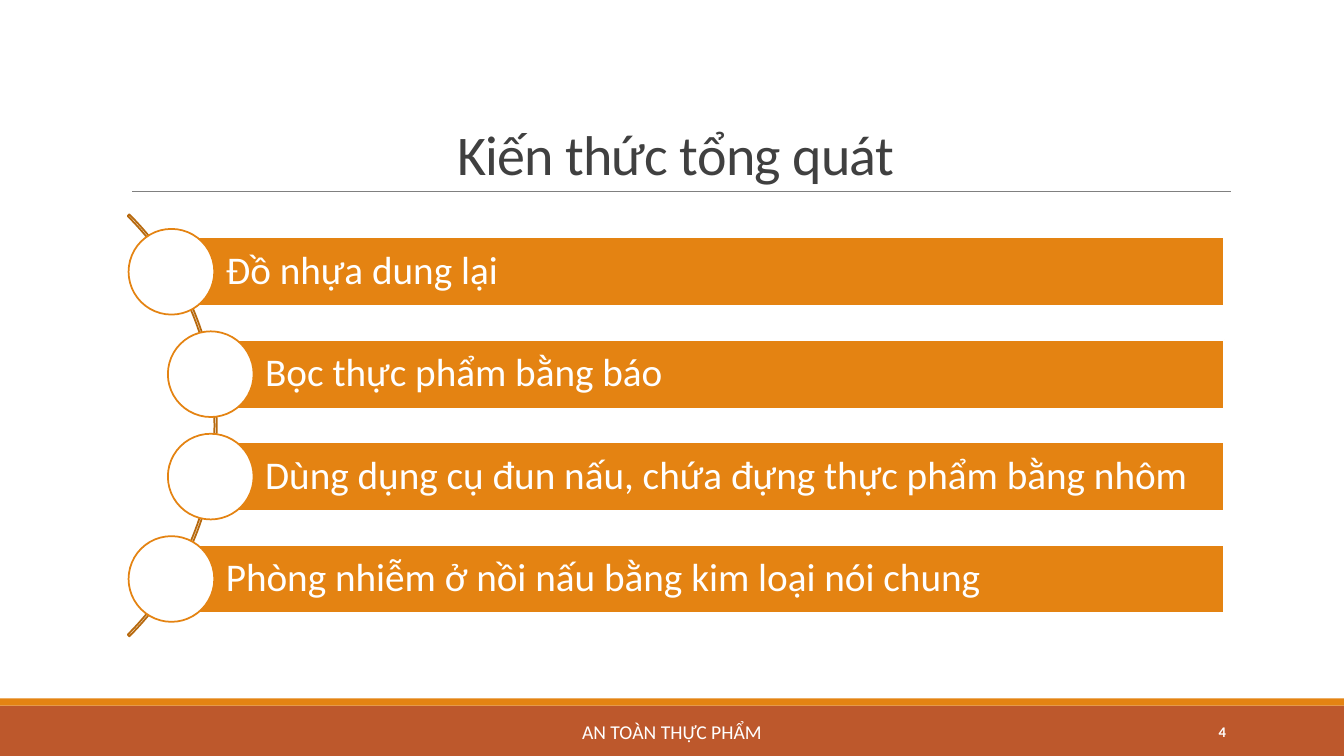
"""Build the food safety slide that lists four general knowledge topics."""
from dataclasses import dataclass

from lxml.etree import SubElement
from pptx import Presentation
from pptx.dml.color import RGBColor
from pptx.enum.shapes import MSO_CONNECTOR, MSO_SHAPE
from pptx.enum.text import MSO_ANCHOR, MSO_AUTO_SIZE, PP_ALIGN
from pptx.oxml.ns import qn
from pptx.util import Inches, Pt

TITLE = "Kiến thức tổng quát"
TOPICS = [
    "Đồ nhựa dung lại",
    "Bọc thực phẩm bằng báo",
    "Dùng dụng cụ đun nấu, chứa đựng thực phẩm bằng nhôm",
    "Phòng nhiễm ở nồi nấu bằng kim loại nói chung",
]
FOOTER = "AN TOÀN THỰC PHẨM"
PAGE_NUMBER = "4"


@dataclass(frozen=True)
class Theme:
    """Colours, font and type sizes of the slide."""
    font: str = "Calibri"
    orange: str = "E48312"
    rust: str = "BD582C"
    arc: str = "B7690E"
    rule: str = "808080"
    ink: str = "404040"
    white: str = "FFFFFF"
    title_size: float = 40
    topic_size: float = 28
    footer_size: float = 14
    number_size: float = 10.5
    outline: float = 1.25


THEME = Theme()
SLIDE_WIDTH, SLIDE_HEIGHT = 13.33, 7.5
FOOTER_TOP, STRIPE_HEIGHT = 7, 0.07
ARC_CENTRE_X, ARC_CENTRE_Y, ARC_DIAMETER = -0.81, 4.22, 5.92
CIRCLE_DIAMETER, BAR_HEIGHT, BAR_RIGHT = 0.85, 0.68, 12.14
TOPIC_PITCH = 1.016
OUTER_X, INNER_X = 1.7, 2.09


def add_box(slide, preset, left, top, width, height, fill=None, line=None):
    """Add a flat preset shape with an optional fill and outline."""
    box = slide.shapes.add_shape(
        preset, Inches(left), Inches(top), Inches(width), Inches(height))
    box.shadow.inherit = False
    if fill:
        box.fill.solid()
        box.fill.fore_color.rgb = RGBColor.from_string(fill)
    else:
        box.fill.background()
    if line:
        box.line.color.rgb = RGBColor.from_string(line)
        box.line.width = Pt(THEME.outline)
    else:
        box.line.fill.background()
    return box


def write(frame, wording, size, color, align, anchor=MSO_ANCHOR.MIDDLE):
    """Write one styled paragraph and return it."""
    frame.word_wrap = True
    frame.auto_size = MSO_AUTO_SIZE.NONE
    frame.vertical_anchor = anchor
    paragraph = frame.paragraphs[0]
    paragraph.text = wording
    paragraph.alignment = align
    paragraph.font.name = THEME.font
    paragraph.font.size = Pt(size)
    paragraph.font.color.rgb = RGBColor.from_string(color)
    return paragraph


def add_title(slide):
    """Place the title above its thin rule."""
    title = slide.shapes.title
    title.left, title.top = Inches(1.2), Inches(0.31)
    title.width, title.height = Inches(11), Inches(1.59)
    heading = write(title.text_frame, TITLE, THEME.title_size, THEME.ink,
                    PP_ALIGN.CENTER, MSO_ANCHOR.BOTTOM)
    heading.line_spacing = 0.85
    heading.runs[0].font._element.set("spc", "-50")
    rule = slide.shapes.add_connector(
        MSO_CONNECTOR.STRAIGHT, Inches(1.31), Inches(1.9), Inches(12.21), Inches(1.9))
    rule.line.color.rgb = RGBColor.from_string(THEME.rule)
    rule.line.width = Pt(0.5)
    SubElement(rule._element.spPr, qn("a:effectLst"))


def add_topics(slide):
    """Set the topic bars and their circles along the arc."""
    radius = ARC_DIAMETER / 2
    arc = add_box(slide, MSO_SHAPE.BLOCK_ARC, ARC_CENTRE_X - radius,
                  ARC_CENTRE_Y - radius, ARC_DIAMETER, ARC_DIAMETER, line=THEME.arc)
    for index, setting in enumerate((189, 27, 0.004)):
        arc.adjustments[index] = setting
    last = len(TOPICS) - 1
    for index, topic in enumerate(TOPICS):
        centre_x = OUTER_X if index in (0, last) else INNER_X
        centre_y = ARC_CENTRE_Y + (index - last / 2) * TOPIC_PITCH
        bar = add_box(slide, MSO_SHAPE.RECTANGLE, centre_x, centre_y - BAR_HEIGHT / 2,
                      BAR_RIGHT - centre_x, BAR_HEIGHT, THEME.orange, THEME.white)
        frame = bar.text_frame
        frame.margin_left = Inches(0.54)
        frame.margin_right = frame.margin_top = frame.margin_bottom = Inches(0.08)
        label = write(frame, topic, THEME.topic_size, THEME.white, PP_ALIGN.LEFT)
        label.line_spacing = 0.9
        add_box(slide, MSO_SHAPE.OVAL, centre_x - CIRCLE_DIAMETER / 2,
                centre_y - CIRCLE_DIAMETER / 2, CIRCLE_DIAMETER, CIRCLE_DIAMETER,
                THEME.white, THEME.orange)


def add_footer(slide):
    """Add the footer bands, the footer wording and the page number."""
    add_box(slide, MSO_SHAPE.RECTANGLE, 0, FOOTER_TOP, SLIDE_WIDTH,
            SLIDE_HEIGHT - FOOTER_TOP, THEME.rust)
    add_box(slide, MSO_SHAPE.RECTANGLE, 0, FOOTER_TOP - STRIPE_HEIGHT,
            SLIDE_WIDTH, STRIPE_HEIGHT, THEME.orange)
    for wording, left, width, size, align, bold in (
        (FOOTER, 4.03, 5.27, THEME.footer_size, PP_ALIGN.CENTER, False),
        (PAGE_NUMBER, 10.83, 1.43, THEME.number_size, PP_ALIGN.RIGHT, True),
    ):
        note = slide.shapes.add_textbox(
            Inches(left), Inches(7.06), Inches(width), Inches(0.4))
        write(note.text_frame, wording, size, THEME.white, align).font.bold = bold


def main():
    """Assemble and save the slide."""
    deck = Presentation()
    deck.slide_width, deck.slide_height = Inches(SLIDE_WIDTH), Inches(SLIDE_HEIGHT)
    slide = deck.slides.add_slide(deck.slide_layouts[5])
    add_footer(slide)
    add_title(slide)
    add_topics(slide)
    deck.save("out.pptx")


if __name__ == "__main__":
    main()
